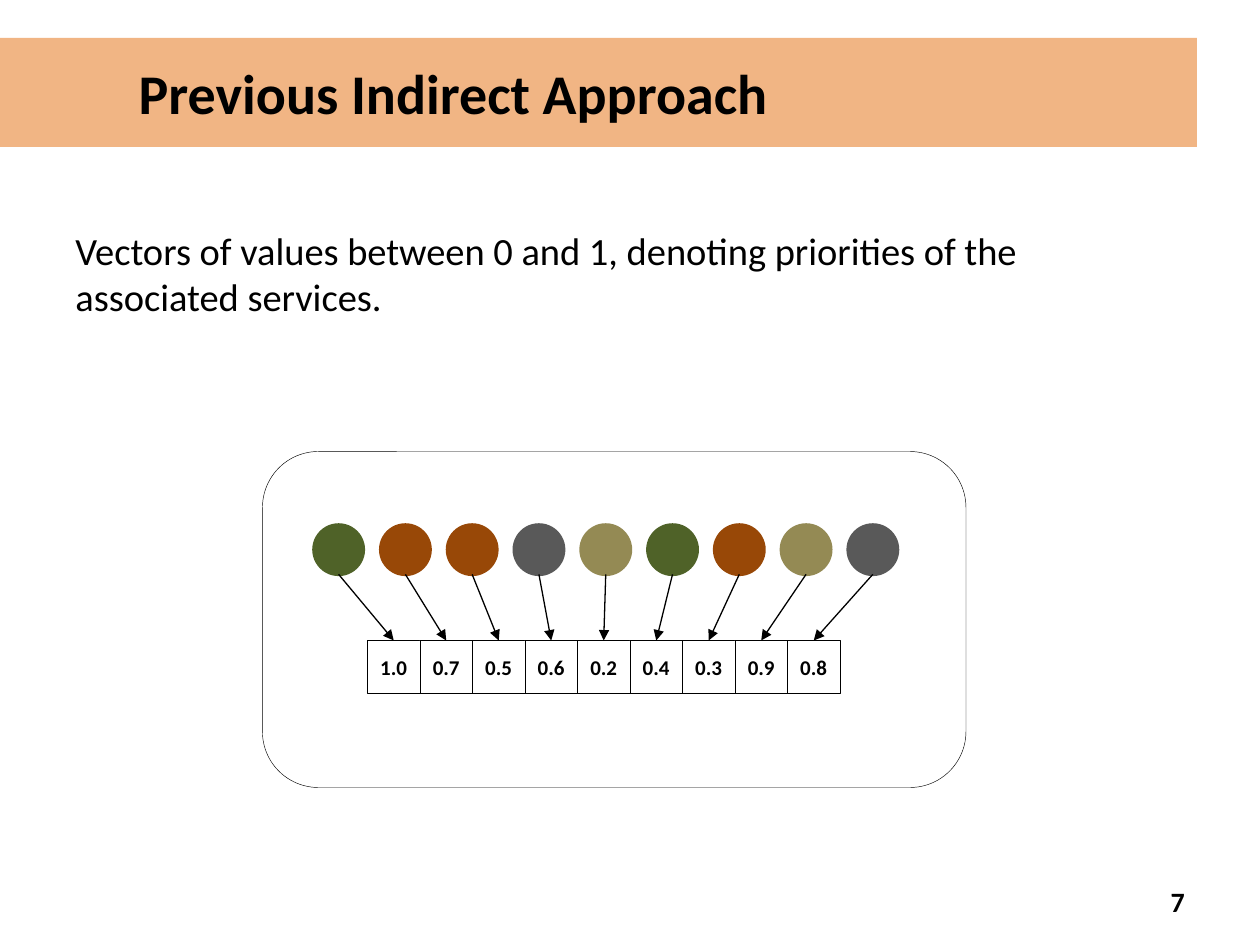
from pptx import Presentation, util as u
from pptx.dml.color import RGBColor
from pptx.enum import shapes, text
from pptx.oxml import parse_xml
from pptx.oxml.ns import nsdecls, qn

GREEN, BROWN, GREY, TAN = "4F6228", "984807", "595959", "948A54"
SERVICES = [
    (GREEN, "1.0"), (BROWN, "0.7"), (BROWN, "0.5"),
    (GREY, "0.6"), (TAN, "0.2"), (GREEN, "0.4"),
    (BROWN, "0.3"), (TAN, "0.9"), (GREY, "0.8"),
]


def colour(value):
    return RGBColor.from_string(value)


class Sketch:
    """Draws styled elements on a slide with a grid of 120 columns by 90 rows."""

    font, ink, paper = "Calibri", "000000", "FFFFFF"
    unit = u.Inches(1) / 12

    def __init__(self, deck):
        self.page = deck.slides.add_slide(deck.slide_layouts[5])

    def grid(self, *lengths):
        return [round(length * self.unit) for length in lengths]

    def set_text(self, shape, words, size, bold=False, align="LEFT", anchor="MIDDLE"):
        frame = shape.text_frame
        frame.word_wrap = True
        frame.vertical_anchor = getattr(text.MSO_ANCHOR, anchor)
        frame.text = words
        para = frame.paragraphs[0]
        para.alignment = getattr(text.PP_ALIGN, align)
        para.font.name, para.font.size, para.font.bold = self.font, u.Pt(size), bold
        para.font.color.rgb = colour(self.ink)

    def title(self, words, place, indent, fill, opacity):
        box = self.page.shapes.title
        box.left, box.top, box.width, box.height = self.grid(*place)
        box.fill.solid()
        box.fill.fore_color.rgb = colour(fill)
        tint = box._element.spPr.find(qn("a:solidFill"))[0]
        tint.append(parse_xml(f'<a:alpha {nsdecls("a")} val="{opacity * 1000}"/>'))
        self.set_text(box, words, 32, bold=True)
        box.text_frame.margin_left = self.grid(indent)[0]

    def label(self, words, place, size, **style):
        self.set_text(self.page.shapes.add_textbox(*self.grid(*place)), words, size, **style)

    def shape(self, kind, place, fill, line, weight):
        preset = getattr(shapes.MSO_SHAPE, kind)
        shape = self.page.shapes.add_shape(preset, *self.grid(*place))
        shape.shadow.inherit = False
        shape.fill.solid()
        shape.fill.fore_color.rgb = colour(fill)
        shape.line.color.rgb = colour(line)
        shape.line.width = u.Pt(weight)
        return shape

    def panel(self, place):
        self.shape("ROUNDED_RECTANGLE", place, self.paper, self.ink, 0.25)

    def cell(self, words, place):
        box = self.shape("RECTANGLE", place, self.paper, self.ink, 0.25)
        self.set_text(box, words, 12, bold=True, align="CENTER")

    def dot(self, fill, place):
        self.shape("OVAL", place, fill, fill, 2)

    def arrow(self, start, end):
        arrow = self.page.shapes.add_connector(
            shapes.MSO_CONNECTOR.STRAIGHT, *self.grid(*start, *end))
        arrow.line.color.rgb = colour(self.ink)
        arrow.line.width = u.Pt(0.75)
        properties = arrow._element.spPr
        properties.find(qn("a:ln")).append(
            parse_xml(f'<a:tailEnd {nsdecls("a")} type="triangle"/>'))
        properties.append(parse_xml(f'<a:effectLst {nsdecls("a")}/>'))


def main():
    deck = Presentation()
    deck.slide_width, deck.slide_height = u.Inches(10), u.Inches(7.5)
    sketch = Sketch(deck)
    sketch.title("Previous Indirect Approach", (0, 3.6, 114, 10.4), 13.2, "E46C0A", 50)
    sketch.label("7", (86, 83.4, 28, 4.8), 16, bold=True, align="RIGHT")
    sketch.label(
        "Vectors of values between 0 and 1, denoting priorities of the associated services.",
        (6, 21, 108, 10), 22, anchor="TOP")
    sketch.panel((25, 43, 67, 32))

    side, cell_left, cell_top = 5, 35, 61
    dot_size, dot_left, dot_top, dot_pitch = 4.7, 29.9, 50, 6.36
    for index, (fill, priority) in enumerate(SERVICES):
        cell_x = cell_left + index * side
        dot_x = dot_left + index * dot_pitch
        sketch.cell(priority, (cell_x, cell_top, side, side))
        sketch.dot(fill, (dot_x, dot_top, dot_size, dot_size))
        sketch.arrow((dot_x + dot_size / 2, dot_top + dot_size),
                     (cell_x + side / 2, cell_top))
    deck.save("out.pptx")


if __name__ == "__main__":
    main()
